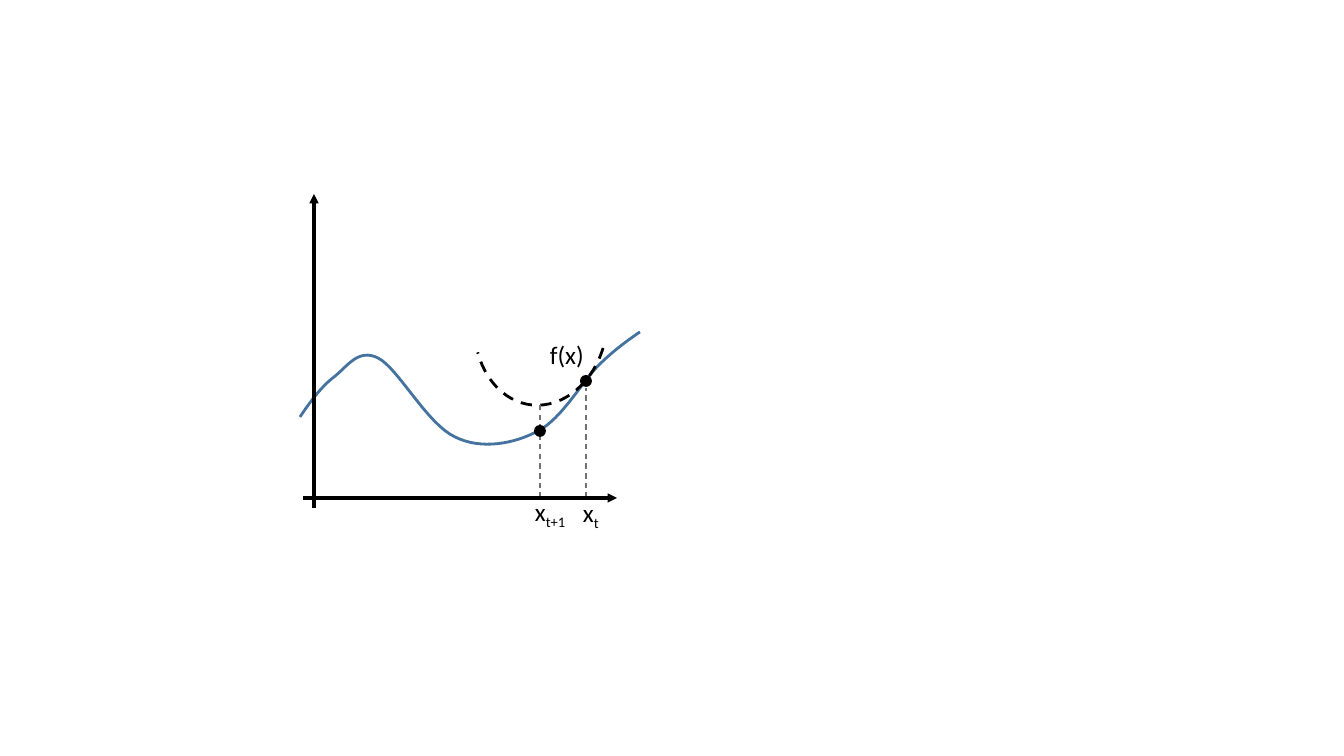
import pptx
import pptx.util
import pptx.dml.color
import pptx.enum.dml
import pptx.enum.shapes
import pptx.oxml.ns
import lxml.etree

SCALE = 914400 / 100.8  # EMU in one px
COLOURS = {"ink": "000000", "curve": "43739E", "guide": "767171"}
SHAPES = pptx.enum.shapes.MSO_SHAPE
DASH = pptx.enum.dml.MSO_LINE.DASH


def emu(px):
    return pptx.util.Emu(round(px * SCALE))


def colour(name):
    return pptx.dml.color.RGBColor.from_string(COLOURS[name])


def add_text(para, text, size=18, font="Calibri", ink="ink", baseline=0):
    span = para.add_run()
    span.text = text
    span.font.size = pptx.util.Pt(size)
    span.font.name = font
    span.font.color.rgb = colour(ink)
    if baseline:
        span.font._element.set("baseline", str(baseline * 1000))


def bezier(points, t):
    """Point at t on a cubic Bezier with four control points."""
    weights = ((1 - t) ** 3, 3 * t * (1 - t) ** 2, 3 * t ** 2 * (1 - t), t ** 3)
    return tuple(sum(w * p[axis] for w, p in zip(weights, points)) for axis in (0, 1))


class Plot:
    def __init__(self, page):
        self.shapes = page.shapes

    def stroke(self, line, ink, width, dash=None):
        line.color.rgb = colour(ink)
        line.width = pptx.util.Pt(width)
        if dash:
            line.dash_style = dash

    def curve(self, points, ink, width, steps=16):
        path = [points[0]]
        for start in range(0, len(points) - 1, 3):
            segment = points[start:start + 4]
            path += [bezier(segment, step / steps) for step in range(1, steps + 1)]
        path = [(emu(x), emu(y)) for x, y in path]
        builder = self.shapes.build_freeform(*path[0])
        builder.add_line_segments(path[1:], close=False)
        shape = builder.convert_to_shape()
        shape.shadow.inherit = False
        shape.fill.background()
        self.stroke(shape.line, ink, width)

    def arc(self, left, top, width, height, turn, ends):
        shape = self.shapes.add_shape(SHAPES.ARC, *map(emu, (left, top, width, height)))
        shape.shadow.inherit = False
        shape.rotation = turn
        for index, end in enumerate(ends):
            shape.adjustments[index] = end
        shape.fill.background()
        self.stroke(shape.line, "ink", 2, DASH)

    def dot(self, x, y, radius=6):
        box = map(emu, (x - radius, y - radius, 2 * radius, 2 * radius))
        shape = self.shapes.add_shape(SHAPES.OVAL, *box)
        shape.shadow.inherit = False
        shape.fill.solid()
        shape.fill.fore_color.rgb = colour("ink")
        shape.line.fill.background()

    def line(self, x1, y1, x2, y2, ink, width, dash=None, arrow=False):
        kind = pptx.enum.shapes.MSO_CONNECTOR.STRAIGHT
        connector = self.shapes.add_connector(kind, *map(emu, (x1, y1, x2, y2)))
        self.stroke(connector.line, ink, width, dash)
        qn = pptx.oxml.ns.qn
        properties = connector._element.spPr
        if arrow:
            lxml.etree.SubElement(properties.find(qn("a:ln")), qn("a:tailEnd"), type="triangle")
        lxml.etree.SubElement(properties, qn("a:effectLst"))

    def label(self, left, top, width, text, subscript=""):
        box = self.shapes.add_textbox(*map(emu, (left, top, width, 40)))
        box.text_frame.word_wrap = True
        para = box.text_frame.paragraphs[0]
        add_text(para, text)
        if subscript:
            add_text(para, subscript, baseline=-25)


def main():
    deck = pptx.Presentation()
    deck.slide_width = emu(1344)
    deck.slide_height = emu(756)
    plot = Plot(deck.slides.add_slide(deck.slide_layouts[6]))

    axis_y = 498
    next_x, current_x = 540, 586

    # Function curve: an anchor, then two handles and an anchor per segment
    plot.curve([
        (300, 417),
        (310, 402), (321, 387), (334, 377),
        (347, 367), (358, 348), (378, 358),
        (398, 368), (427, 424), (455, 437),
        (481, 450), (514, 444), (538, 431),
        (562, 419), (583, 380), (600, 364),
        (617, 347), (640, 332), (640, 332),
    ], "curve", 2)

    # Quadratic approximation
    plot.arc(457, 255, 168, 133, turn=96.9, ends=(171.76, 34.27))

    # Iterates with their guides
    for x, dot_y, guide_top in ((next_x, 431, 405), (current_x, 381, 388)):
        plot.line(x, axis_y, x, guide_top, "guide", 1, dash=DASH)
        plot.dot(x, dot_y)

    # Axes
    plot.line(314, 508, 314, 194, "ink", 2.25, arrow=True)
    plot.line(303, axis_y, 617, axis_y, "ink", 2.25, arrow=True)

    # Labels
    plot.label(573, 492, 50, "x", "t")
    plot.label(525, 491, 66, "x", "t+1")
    plot.label(540, 334, 65, "f(x)")

    deck.save("out.pptx")


if __name__ == "__main__":
    main()
